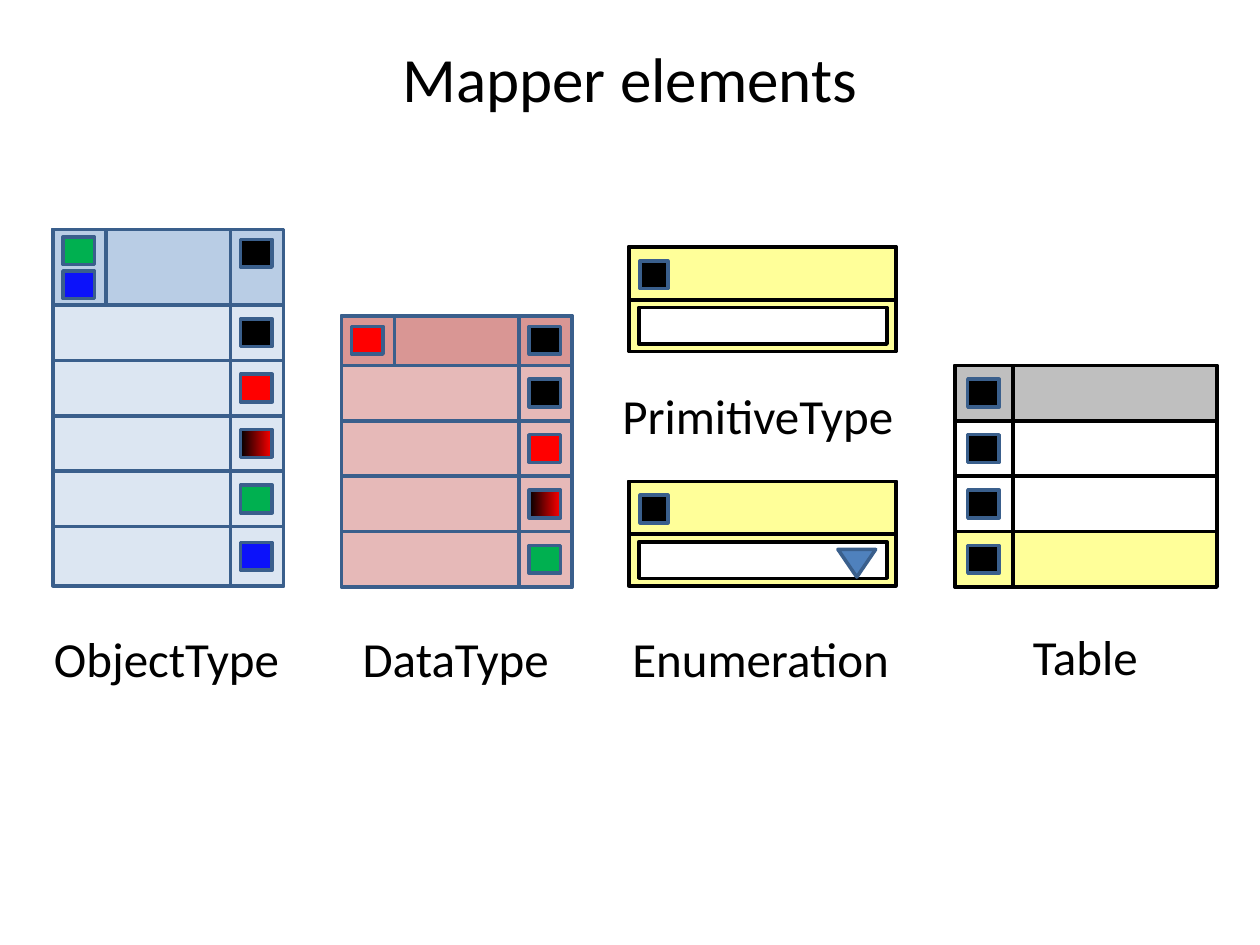
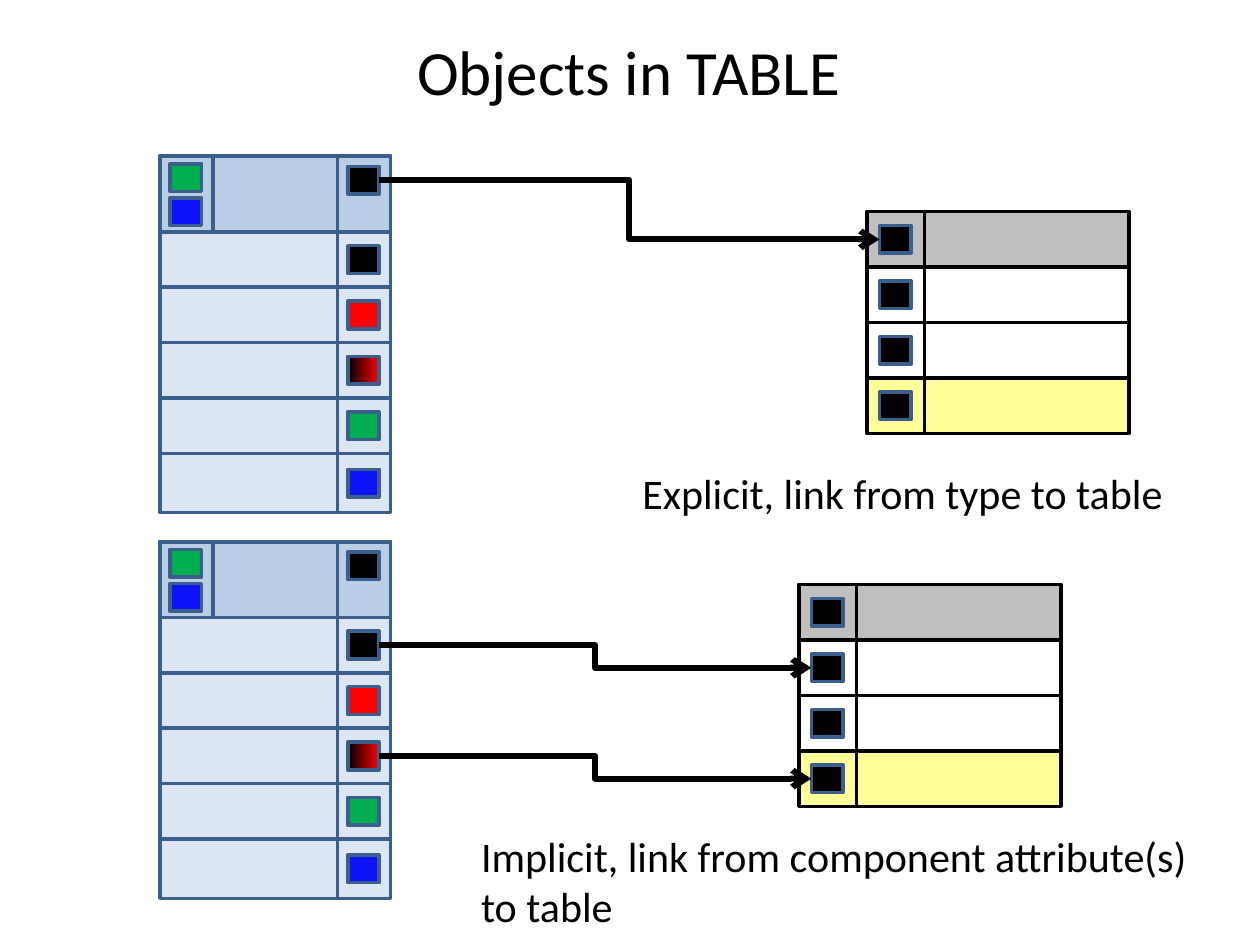
import pptx
import pptx.dml.color
import pptx.enum.shapes
import pptx.enum.text
import pptx.oxml.ns
import pptx.util
from lxml import etree

Inches = pptx.util.Inches
RGBColor = pptx.dml.color.RGBColor
MSO_SHAPE = pptx.enum.shapes.MSO_SHAPE
qn = pptx.oxml.ns.qn

BLACK = RGBColor(0x00, 0x00, 0x00)
WHITE = RGBColor(0xFF, 0xFF, 0xFF)
RED = RGBColor(0xFF, 0x00, 0x00)
GREEN = RGBColor(0x00, 0xB0, 0x50)
BLUE = RGBColor(0x0C, 0x12, 0xFA)
YELLOW = RGBColor(0xFF, 0xFF, 0x99)
GREY = RGBColor(0xBF, 0xBF, 0xBF)
OUTLINE = RGBColor(0x3A, 0x5F, 0x8C)
ACCENT = RGBColor(0x4F, 0x81, 0xBD)
OBJECT_BODY = RGBColor(0xDC, 0xE6, 0xF2)
OBJECT_HEAD = RGBColor(0xB9, 0xCD, 0xE5)
DATA_BODY = RGBColor(0xE6, 0xB9, 0xB8)
DATA_HEAD = RGBColor(0xD9, 0x96, 0x94)
BLACK_TO_RED = (BLACK, RED)

FONT = {"name": "Calibri"}
TITLE_SIZE, LABEL_SIZE, NOTE_SIZE = 36, 28, 24
ROW_H = 0.44
PORT_W, PORT_H = 0.25, 0.22

OBJECT_TYPE = {
    "body": OBJECT_BODY, "head": OBJECT_HEAD, "head_h": 0.6, "height": 2.83,
    "head_ports": [(GREEN, 0.06), (BLUE, 0.33)],
    "row_ports": [BLACK, RED, BLACK_TO_RED, GREEN, BLUE],
}
DATA_TYPE = {
    "body": DATA_BODY, "head": DATA_HEAD, "head_h": 0.39, "height": 2.15,
    "head_ports": [(RED, 0.08)],
    "row_ports": [BLACK, RED, BLACK_TO_RED, GREEN],
}


# Shared helpers
def add_box(group, x, y, w, h, fill=None, line=OUTLINE, kind=MSO_SHAPE.RECTANGLE):
    sp = group.shapes.add_shape(kind, Inches(x), Inches(y), Inches(w), Inches(h))
    sp.shadow.inherit = False
    if fill is None:
        sp.fill.background()
    elif isinstance(fill, RGBColor):
        sp.fill.solid()
        sp.fill.fore_color.rgb = fill
    else:
        sp.fill.gradient()
        sp.fill.gradient_angle = 0
        for i, (stop, color) in enumerate(zip(sp.fill.gradient_stops, fill)):
            stop.position = i
            stop.color.rgb = color
    sp.line.color.rgb = line
    sp.line.width = pptx.util.Pt(2)
    return sp


def add_port(group, x, y, fill=BLACK, w=PORT_W):
    return add_box(group, x, y, w, PORT_H, fill)


def add_text(slide, x, y, w, h, lines, size, **frame):
    tf = slide.shapes.add_textbox(Inches(x), Inches(y), Inches(w), Inches(h)).text_frame
    settings = {"word_wrap": False,
                "auto_size": pptx.enum.text.MSO_AUTO_SIZE.SHAPE_TO_FIT_TEXT, **frame}
    for name, value in settings.items():
        setattr(tf, name, value)
    for i, line in enumerate(lines):
        p = tf.paragraphs[0] if i == 0 else tf.add_paragraph()
        r = p.add_run()
        r.text = line
        for name, value in {**FONT, "size": pptx.util.Pt(size)}.items():
            setattr(r.font, name, value)
        r.font.color.rgb = BLACK
    return tf


def add_title(slide, x, y, text):
    tf = add_text(slide, x, y, 9, 0.62, [text], TITLE_SIZE, word_wrap=True,
                  auto_size=pptx.enum.text.MSO_AUTO_SIZE.NONE,
                  vertical_anchor=pptx.enum.text.MSO_ANCHOR.MIDDLE)
    tf.paragraphs[0].alignment = pptx.enum.text.PP_ALIGN.CENTER


def add_link(slide, source, target):
    c = slide.shapes.add_connector(pptx.enum.shapes.MSO_CONNECTOR.ELBOW, 0, 0, 0, 0)
    c.begin_connect(source, 3)
    c.end_connect(target, 1)
    c.line.color.rgb = BLACK
    c.line.width = pptx.util.Pt(3.5)
    spPr = c._element.spPr
    etree.SubElement(spPr.find(qn("a:ln")), qn("a:tailEnd"), type="arrow")
    etree.SubElement(spPr, qn("a:effectLst"))


# Mapper elements
def add_type(slide, x, y, body, head, head_h, height, head_ports, row_ports):
    """Draw a type card; return its right-hand ports from top to bottom."""
    w, col_w, gap = 1.83, 0.42, 0.08
    col_x = x + w - col_w
    g = slide.shapes.add_group_shape()
    add_box(g, x, y, w, height, body)
    add_box(g, x, y, w, head_h, head)
    row_y = [y + head_h + i * ROW_H for i in range(len(row_ports))]
    for top in row_y[:-1]:
        add_box(g, x, top, w, ROW_H)
    add_box(g, col_x, y, col_w, height)
    add_box(g, x, y, col_w, head_h)
    for fill, dy in head_ports:
        add_port(g, x + gap, y + dy, fill)
    ports = [add_port(g, col_x + gap, y + gap)]
    for top, bottom, fill in zip(row_y, row_y[1:] + [y + height], row_ports):
        ports.append(add_port(g, col_x + gap, (top + bottom - PORT_H) / 2, fill))
    return ports


def add_table_card(slide, x, y):
    """Draw a table card; return its ports from top to bottom."""
    w, col_w = 2.08, 0.46
    fills = [GREY, None, None, YELLOW]
    g = slide.shapes.add_group_shape()
    for i, fill in enumerate(fills):
        add_box(g, x, y + i * ROW_H, w, ROW_H, fill, BLACK)
    add_box(g, x, y, col_w, len(fills) * ROW_H, line=BLACK)
    return [add_port(g, x + 0.1, y + i * ROW_H + 0.11) for i in range(len(fills))]


def add_value_card(slide, x, y, dropdown=False):
    g = slide.shapes.add_group_shape()
    add_box(g, x, y, 2.12, 0.83, YELLOW, BLACK)
    add_box(g, x, y, 2.12, 0.42, line=BLACK)
    add_port(g, x + 0.09, y + 0.11, w=PORT_H)
    add_box(g, x + 0.08, y + 0.48, 1.97, 0.29, WHITE, BLACK)
    if dropdown:
        arrow = add_box(g, x + 1.66, y + 0.54, 0.3, 0.22, ACCENT,
                        kind=MSO_SHAPE.ISOSCELES_TRIANGLE)
        arrow.rotation = 180


# Slides
def build_elements(slide):
    add_title(slide, 0.5, 0.3, "Mapper elements")
    add_table_card(slide, 7.58, 2.9)
    add_type(slide, 0.42, 1.82, **OBJECT_TYPE)
    add_type(slide, 2.71, 2.51, **DATA_TYPE)
    add_value_card(slide, 4.99, 1.96)
    add_value_card(slide, 4.99, 3.82, dropdown=True)
    for x, y, w, label in [(0.33, 4.94, 2.01, "ObjectType"),
                           (2.78, 4.94, 1.69, "DataType"),
                           (4.84, 3.01, 2.38, "PrimitiveType"),
                           (4.92, 4.94, 2.26, "Enumeration"),
                           (8.1, 4.92, 1.04, "Table")]:
        add_text(slide, x, y, w, 0.57, [label], LABEL_SIZE)


def build_links(slide):
    add_title(slide, 0.49, 0.25, "Objects in TABLE")
    # Each scene: type position, table position, (type port, table port) links
    for type_at, table_at, links in [((1.27, 1.24), (6.88, 1.68), [(0, 0)]),
                                     ((1.27, 4.3), (6.34, 4.64), [(1, 1), (3, 3)])]:
        type_ports = add_type(slide, *type_at, **OBJECT_TYPE)
        table_ports = add_table_card(slide, *table_at)
        for source, target in links:
            add_link(slide, type_ports[source], table_ports[target])
    add_text(slide, 5, 3.66, 4.37, 0.5, ["Explicit, link from type to table"], NOTE_SIZE)
    add_text(slide, 3.72, 6.54, 5.93, 0.91,
             ["Implicit, link from component attribute(s)", "to table"], NOTE_SIZE)


def main():
    prs = pptx.Presentation()
    prs.slide_width, prs.slide_height = Inches(10), Inches(7.5)
    for build in (build_elements, build_links):
        build(prs.slides.add_slide(prs.slide_layouts[6]))
    prs.save("out.pptx")


if __name__ == "__main__":
    main()
